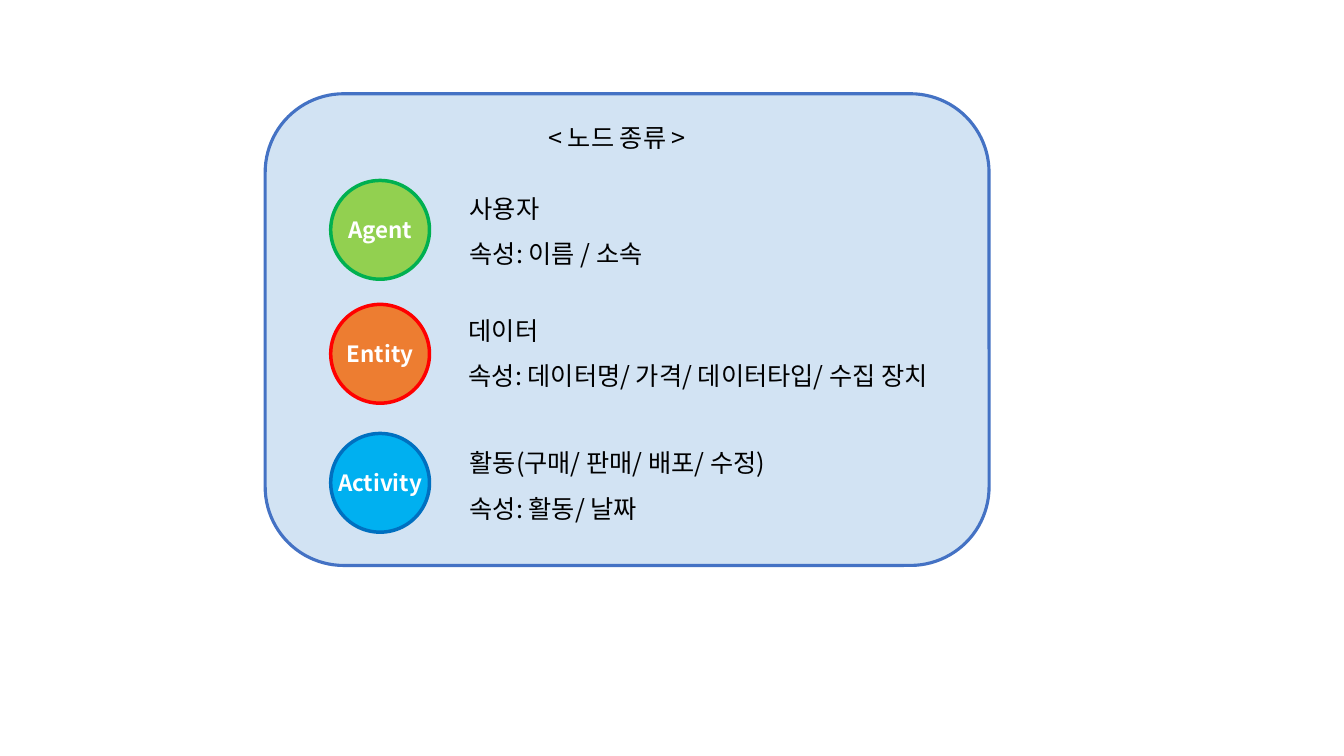
from pptx import Presentation
from pptx.dml.color import RGBColor
from pptx.enum.shapes import MSO_SHAPE as Kind
from pptx.enum.text import MSO_ANCHOR as Anchor, MSO_AUTO_SIZE as Fit, PP_ALIGN as Align
from pptx.oxml.ns import qn
from pptx.util import Inches, Pt
from lxml.etree import SubElement

FONT = "Noto Sans CJK KR"


def paint(shape, fill, line, width):
    shape.shadow.inherit = False
    shape.fill.solid()
    shape.fill.fore_color.rgb = RGBColor.from_string(fill)
    shape.line.color.rgb = RGBColor.from_string(line)
    shape.line.width = Pt(width)


def write(shape, text, size, color, align, gap=1.0, bold=False):
    frame = shape.text_frame
    frame.text = text
    for para in frame.paragraphs:
        para.alignment = align
        para.line_spacing = gap
        for run in para.runs:
            font = run.font
            font.size = Pt(size)
            font.bold = bold
            font.color.rgb = RGBColor.from_string(color)
            font.name = FONT
            SubElement(font._element, qn("a:ea"), typeface=FONT)
    return frame


deck = Presentation()
deck.slide_width = Inches(13.33)
deck.slide_height = Inches(7.5)
slide = deck.slides.add_slide(deck.slide_layouts[6])
shapes = slide.shapes

panel = shapes.add_shape(Kind.ROUNDED_RECTANGLE, Inches(2.63), Inches(0.93), Inches(7.18), Inches(4.68))
paint(panel, "5B9BD5", "4472C4", 2.25)
tint = panel.fill._xPr.find(qn("a:solidFill"))[0]
SubElement(tint, qn("a:alpha"), val="27000")

title = shapes.add_textbox(Inches(5.15), Inches(1.16), Inches(1.94), Inches(0.4))
frame = write(title, "< 노드 종류 >", 18, "000000", Align.CENTER)
frame.word_wrap = True
frame.auto_size = Fit.SHAPE_TO_FIT_TEXT

nodes = [
    ("Agent", 1.79, "92D050", "00B050", 4.56, 1.72, 4.58,
     "사용자\n속성: 이름 / 소속"),
    ("Entity", 3.02, "ED7D31", "FF0000", 4.55, 2.93, 4.98,
     "데이터\n속성: 데이터명/ 가격/ 데이터타입/ 수집 장치"),
    ("Activity", 4.3, "00B0F0", "0070C0", 4.56, 4.24, 4.45,
     "활동(구매/ 판매/ 배포/ 수정)\n속성: 활동/ 날짜"),
]
for name, top, fill, line, left, head, width, text in nodes:
    node = shapes.add_shape(Kind.OVAL, Inches(3.28), Inches(top), Inches(0.98), Inches(0.98))
    paint(node, fill, line, 2.5)
    frame = write(node, name, 16, "FFFFFF", Align.CENTER, bold=True)
    frame.word_wrap = False
    frame.vertical_anchor = Anchor.MIDDLE
    frame.margin_left = frame.margin_right = 0

    note = shapes.add_textbox(Inches(left), Inches(head), Inches(width), Inches(0.97))
    frame = write(note, text, 18, "000000", Align.LEFT, gap=1.5)
    frame.word_wrap = True
    frame.auto_size = Fit.SHAPE_TO_FIT_TEXT

deck.save("out.pptx")
